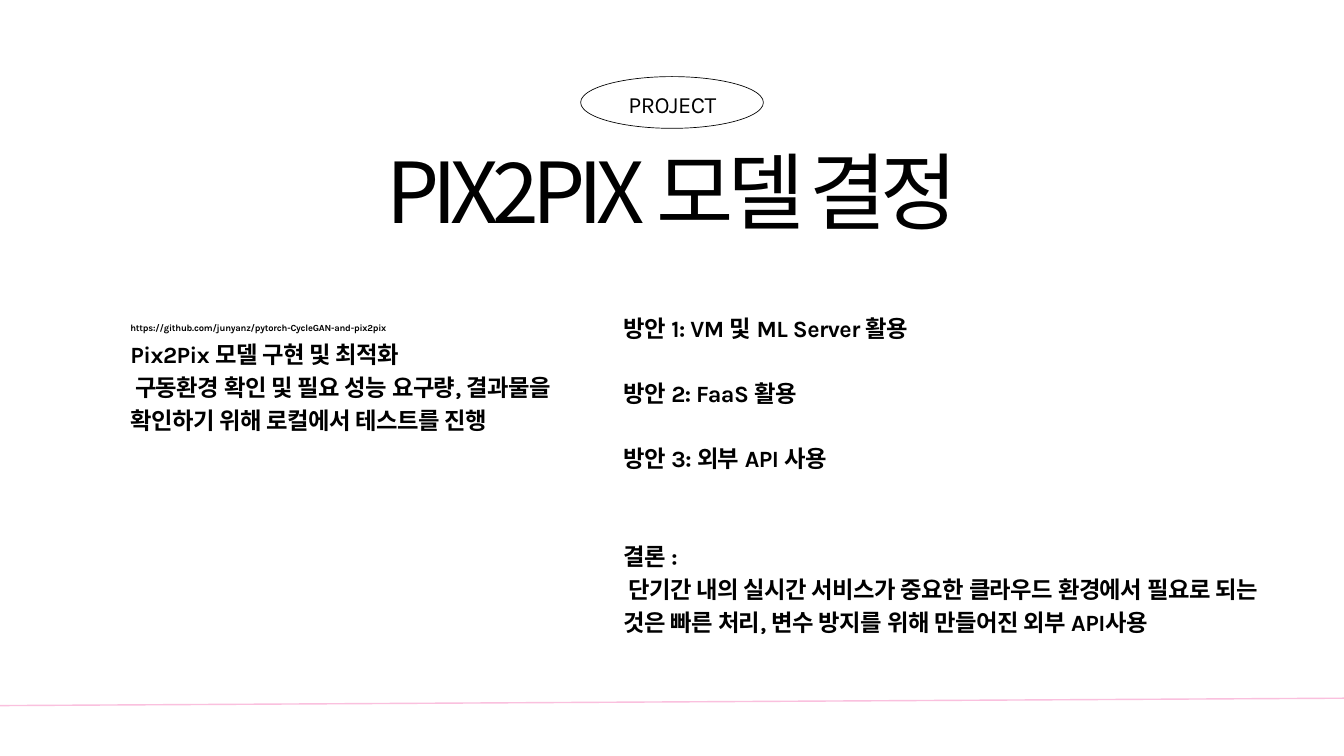
import pptx
import pptx.dml.color
import pptx.enum.shapes
import pptx.enum.text
import pptx.oxml
import pptx.oxml.ns
import pptx.util
from pptx.dml.color import RGBColor
from pptx.util import Inches

BLACK = RGBColor(0x00, 0x00, 0x00)
WHITE = RGBColor(0xFF, 0xFF, 0xFF)
PINK = RGBColor(0xFA, 0xC0, 0xDE)

LEFT = pptx.enum.text.PP_ALIGN.LEFT
CENTER = pptx.enum.text.PP_ALIGN.CENTER

LABEL = {"font": "Karla", "size": 25, "bold": False, "tracking": -50, "leading": 35, "align": CENTER}
TITLE = {"font": "Noto Sans CJK KR", "size": 90, "bold": False, "tracking": -720, "leading": 108, "align": CENTER}
BODY = {"font": "Karla", "size": 25, "bold": True, "tracking": -50, "leading": 35, "align": LEFT}
LINK = {"font": "Karla", "size": 10, "bold": True, "tracking": -20, "leading": 14, "align": LEFT}

FIRST_LINE_INDENT = Inches(0.07)

MODEL_NOTES = [
    ("Pix2Pix 모델 구현 및 최적화", 0, False),
    ("구동환경 확인 및 필요 성능 요구량, 결과물을 확인하기 위해 로컬에서 테스트를 진행", 0, True),
]
OPTIONS = [
    ("방안 1: VM 및 ML Server 활용", 0, False),
    ("방안 2: FaaS 활용", 1, False),
    ("방안 3: 외부 API 사용", 1, False),
    ("결론 :", 2, False),
    ("단기간 내의 실시간 서비스가 중요한 클라우드 환경에서 필요로 되는 것은 빠른 처리, "
     "변수 방지를 위해 만들어진 외부 API사용", 0, True),
]


def add_text(slide, left, top, width, height, lines, style):
    shape = slide.shapes.add_textbox(Inches(left), Inches(top), Inches(width), Inches(height))
    frame = shape.text_frame
    frame_format = {"margin_left": 0, "margin_top": 0, "margin_right": 0, "margin_bottom": 0, "word_wrap": True}
    for name, value in frame_format.items():
        setattr(frame, name, value)
    for index, (text, lines_before, indented) in enumerate(lines):
        paragraph = frame.paragraphs[0] if index == 0 else frame.add_paragraph()
        paragraph_format = {
            "alignment": style["align"],
            "line_spacing": pptx.util.Pt(style["leading"]),
            "space_before": pptx.util.Pt(style["leading"] * lines_before),
        }
        for name, value in paragraph_format.items():
            setattr(paragraph, name, value)
        if indented:
            paragraph._p.get_or_add_pPr().set("indent", str(FIRST_LINE_INDENT))
        run = paragraph.add_run()
        run.text = text
        run.font.color.rgb = BLACK
        font_format = {"name": style["font"], "size": pptx.util.Pt(style["size"]), "bold": style["bold"]}
        for name, value in font_format.items():
            setattr(run.font, name, value)
        properties = run._r.get_or_add_rPr()
        properties.set("spc", str(style["tracking"]))
        east_asian = pptx.oxml.parse_xml(f'<a:ea {pptx.oxml.ns.nsdecls("a")} typeface="{style["font"]}"/>')
        properties.append(east_asian)


def add_heading(slide, left, top, width):
    oval_width = 2.72
    oval_left = left + (width - oval_width) / 2
    oval = slide.shapes.add_shape(
        pptx.enum.shapes.MSO_SHAPE.OVAL,
        Inches(oval_left), Inches(top), Inches(oval_width), Inches(0.77),
    )
    oval.shadow.inherit = False
    oval.fill.background()
    oval.line.color.rgb = BLACK
    oval.line.width = pptx.util.Pt(0.75)
    add_text(slide, oval_left + 0.38, top + 0.13, 1.97, 0.46, [("PROJECT", 0, False)], LABEL)
    add_text(slide, left, top + 0.94, width, 1.52, [("PIX2PIX 모델 결정", 0, False)], TITLE)


def add_model_notes(slide, left, top, width):
    link = "https://github.com/junyanz/pytorch-CycleGAN-and-pix2pix"
    add_text(slide, left, top, 4.01, 0.18, [(link, 0, False)], LINK)
    add_text(slide, left, top + 0.23, width, 1.9, MODEL_NOTES, BODY)


def add_options(slide, left, top, width, height):
    add_text(slide, left, top, width, height, OPTIONS, BODY)


def add_footer_line(slide, left, top, width, rise):
    connector = slide.shapes.add_connector(
        pptx.enum.shapes.MSO_CONNECTOR.STRAIGHT,
        Inches(left), Inches(top + rise), Inches(left + width), Inches(top),
    )
    connector.line.color.rgb = PINK
    connector.line.width = pptx.util.Pt(1.5)
    effects = pptx.oxml.parse_xml(f'<a:effectLst {pptx.oxml.ns.nsdecls("a")}/>')
    connector._element.spPr.append(effects)


def main():
    presentation = pptx.Presentation()
    presentation.slide_width = Inches(20)
    presentation.slide_height = Inches(11.25)
    slide = presentation.slides.add_slide(presentation.slide_layouts[6])
    slide.background.fill.solid()
    slide.background.fill.fore_color.rgb = WHITE
    add_footer_line(slide, 0, 10.39, 20, 0.11)
    add_heading(slide, 1.79, 1.14, 16.42)
    add_model_notes(slide, 1.94, 4.77, 6.98)
    add_options(slide, 9.28, 4.6, 9.48, 5.73)
    presentation.save("out.pptx")


if __name__ == "__main__":
    main()
